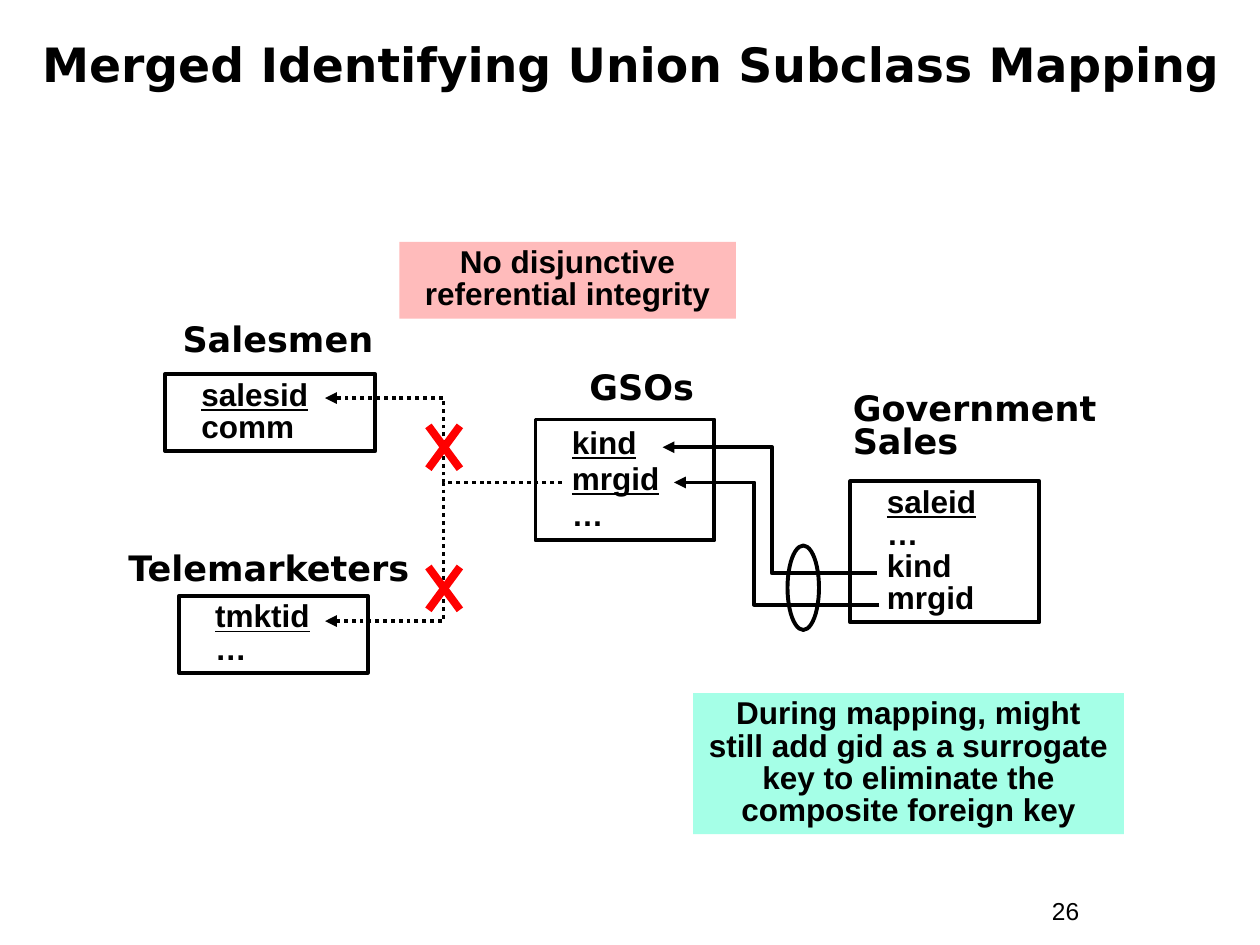
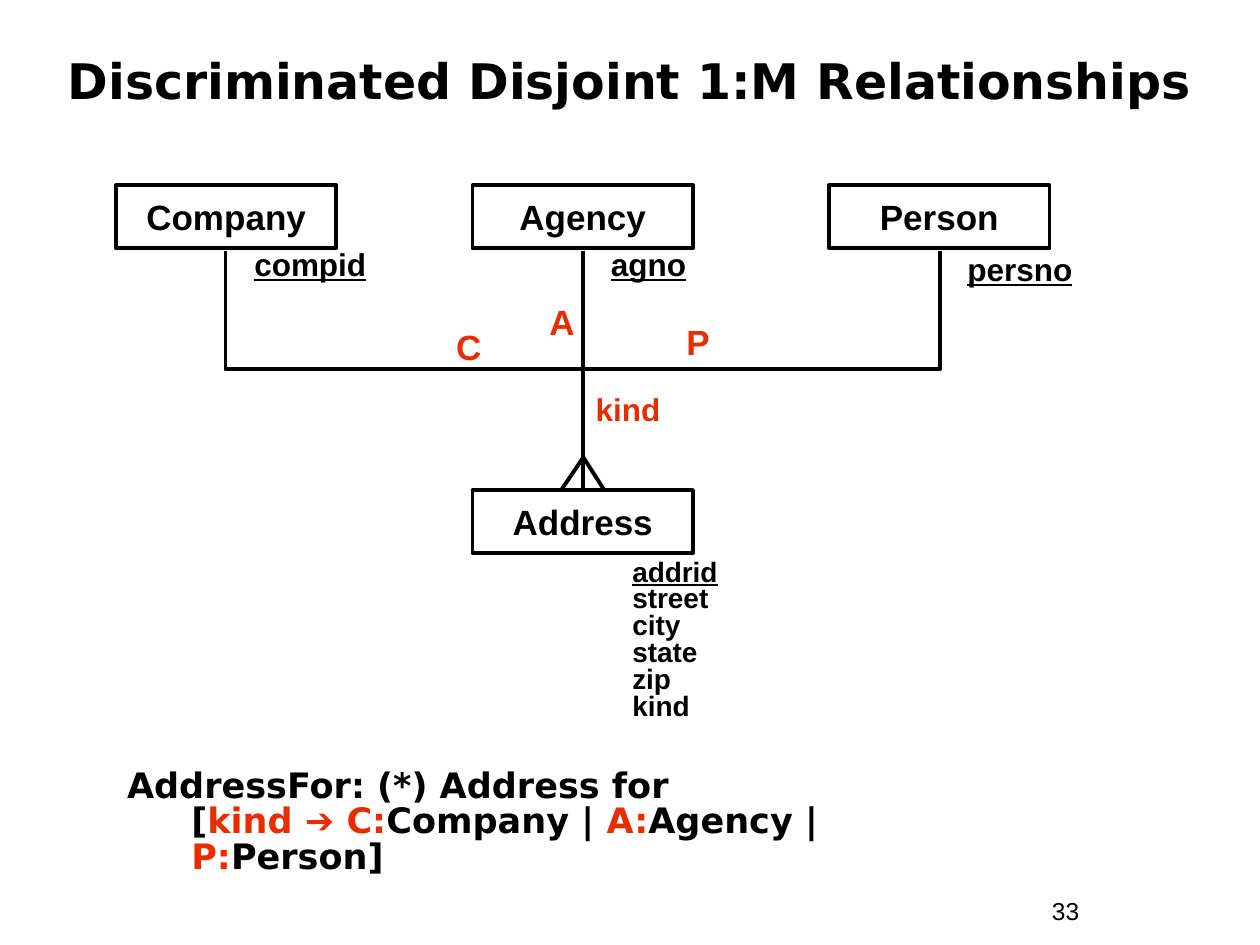
from pptx import Presentation
from pptx.dml.color import RGBColor
from pptx.enum.dml import MSO_LINE
from pptx.enum.shapes import MSO_CONNECTOR as Connector, MSO_SHAPE as Shape
from pptx.enum.text import MSO_ANCHOR as Anchor, PP_ALIGN as Align
from pptx.oxml.ns import qn
from pptx.util import Inches, Pt
from lxml import etree

BLACK, RED, ORANGE = "000000", "FF0000", "EA2D00"
PINK, MINT = "FFBBBB", "A5FFE7"
BODY, HEADING = "Arial", "DejaVu Sans"
UNDERLINED = {"underline": True}


def color(hex_string):
    return RGBColor.from_string(hex_string)


def set_attributes(target, values):
    for name, value in values.items():
        setattr(target, name, value)


class Diagram:
    """Holds the shared style and the slide being drawn."""

    line_width = 2.25
    font = {"name": BODY, "size": Pt(18), "bold": True}

    def __init__(self, presentation):
        self.presentation = presentation
        self.slide = None

    def new_slide(self, title, number, title_box, title_size):
        self.slide = self.presentation.slides.add_slide(self.presentation.slide_layouts[6])
        self.text(title_box, [title], anchor=Anchor.MIDDLE, align=Align.CENTER,
                  name=HEADING, size=Pt(title_size))
        self.text((8.25, 7.06, 0.92, 0.34), [number], space_before=8.8,
                  size=Pt(14), bold=False)

    def put_text(self, shape, paragraphs, ink=BLACK, anchor=Anchor.TOP, align=Align.LEFT,
                 spacing=1.0, space_before=0, indent=0, hanging=0, **font):
        """Fill a shape; a paragraph is a string or a list of (text, color, font) runs."""
        frame = shape.text_frame
        set_attributes(frame, {
            "word_wrap": True, "vertical_anchor": anchor,
            "margin_left": Inches(0.1), "margin_right": Inches(0.1),
            "margin_top": Inches(0.05), "margin_bottom": Inches(0.05)})
        for index, runs in enumerate(paragraphs):
            paragraph = frame.add_paragraph() if index else frame.paragraphs[0]
            set_attributes(paragraph, {"alignment": align, "line_spacing": spacing,
                                       "space_before": Pt(space_before)})
            if indent:
                properties = paragraph._p.get_or_add_pPr()
                properties.set("marL", str(Inches(indent)))
                properties.set("indent", str(-Inches(hanging)))
            for text, run_ink, extra in [(runs, ink, {})] if isinstance(runs, str) else runs:
                for line_index, line in enumerate(text.split("\n")):
                    if line_index:
                        paragraph.add_line_break()
                    run = paragraph.add_run()
                    run.text = line
                    set_attributes(run.font, {**self.font, **font, **extra})
                    run.font.color.rgb = color(run_ink)

    def text(self, box, paragraphs, **style):
        self.put_text(self.slide.shapes.add_textbox(*map(Inches, box)), paragraphs, **style)

    def heading(self, box, text, **style):
        self.text(box, [text], name=HEADING, size=Pt(20), **style)

    def shape(self, box, kind=Shape.RECTANGLE, fill=None):
        """Add a filled shape without outline, or an outlined one without fill."""
        shape = self.slide.shapes.add_shape(kind, *map(Inches, box))
        shape.shadow.inherit = False
        if fill:
            shape.fill.solid()
            shape.fill.fore_color.rgb = color(fill)
            shape.line.fill.background()
        else:
            shape.fill.background()
            shape.line.color.rgb = color(BLACK)
            shape.line.width = Pt(self.line_width)
        return shape

    def table_box(self, box, fields, spacing=0.85):
        self.put_text(self.shape(box), fields, spacing=spacing, indent=0.19)

    def note(self, box, text, fill):
        self.put_text(self.shape(box, fill=fill), [text], align=Align.CENTER,
                      spacing=0.85, space_before=11.2)

    def entity(self, left, top, name):
        self.put_text(self.shape((left, top, 1.75, 0.5)), [name], anchor=Anchor.MIDDLE,
                      align=Align.CENTER, size=Pt(20))

    def line(self, start, end, kind=Connector.STRAIGHT, ink=BLACK, width=line_width,
             dash=None, arrow=False):
        line = self.slide.shapes.add_connector(kind, *map(Inches, (*start, *end)))
        line.line.color.rgb = color(ink)
        line.line.width = Pt(width)
        if dash:
            line.line.dash_style = dash
        properties = line._element.spPr
        if arrow:
            etree.SubElement(properties.find(qn("a:ln")), qn("a:tailEnd"), type="triangle")
        etree.SubElement(properties, qn("a:effectLst"))
        return line

    def elbow(self, start, end, bend=0.5, **style):
        """Draw a horizontal-first elbow arrow that turns at the given share of its width."""
        line = self.line(start, end, Connector.ELBOW, arrow=True, **style)
        geometry = line._element.spPr.find(qn("a:prstGeom"))
        guides = geometry.find(qn("a:avLst"))
        if guides is None:
            guides = etree.SubElement(geometry, qn("a:avLst"))
        etree.SubElement(guides, qn("a:gd"), name="adj1", fmla=f"val {round(bend * 100000)}")

    def upright_elbow(self, start, end):
        """Draw a vertical-first elbow: a horizontal-first one turned by 90 degrees."""
        (x1, y1), (x2, y2) = start, end
        x, y = (x1 + x2) / 2, (y1 + y2) / 2
        half_width, half_height = (x2 - x1) / 2, (y2 - y1) / 2
        line = self.line((x - half_height, y + half_width),
                         (x + half_height, y - half_width), Connector.ELBOW)
        line._element.spPr.find(qn("a:xfrm")).set("rot", str(90 * 60000))

    def cross(self, left, top, width=0.25, height=0.34):
        right, bottom = left + width, top + height
        for start, end in (((left, top), (right, bottom)), ((right, top), (left, bottom))):
            self.line(start, end, ink=RED, width=4.5)


def key(name):
    return [(name, BLACK, UNDERLINED)]


def draw_union_mapping(diagram):
    diagram.new_slide("Merged Identifying Union Subclass Mapping", "26",
                      (0.17, 0.17, 9.67, 0.67), 27)

    diagram.table_box((1.31, 2.97, 1.67, 0.61), [key("salesid"), "comm"])
    diagram.heading((1.35, 2.47, 2.15, 0.44), "Salesmen")
    diagram.table_box((1.42, 4.73, 1.5, 0.61), [key("tmktid"), "…"])
    diagram.heading((0.92, 4.29, 2.5, 0.44), "Telemarketers")
    diagram.table_box((4.25, 3.33, 1.42, 0.96), [key("kind"), key("mrgid"), "…"], spacing=0.95)
    diagram.heading((4.58, 2.85, 1.33, 0.44), "GSOs")
    diagram.table_box((6.75, 3.82, 1.5, 1.12), [key("saleid"), "…\nkind", "mrgid"])
    diagram.heading((6.67, 3.08, 2.33, 0.64), "Government\nSales", spacing=0.8)

    for member_y in (3.16, 4.93):
        diagram.elbow((4.46, 3.83), (2.58, member_y), dash=MSO_LINE.ROUND_DOT)
    for cross_top in (4.5, 3.38):
        diagram.cross(3.4, cross_top)
    diagram.note((3.17, 1.92, 2.67, 0.61), "No disjunctive\nreferential integrity", PINK)

    diagram.elbow((6.96, 4.55), (5.26, 3.55), bend=0.49)
    diagram.elbow((6.98, 4.8), (5.35, 3.83), bend=0.61)
    diagram.shape((6.25, 4.33, 0.25, 0.67), Shape.OVAL)
    diagram.note((5.5, 5.5, 3.42, 1.12), "During mapping, might still add gid as a surrogate "
                 "key to eliminate the composite foreign key", MINT)


def draw_disjoint_relationships(diagram):
    diagram.new_slide("Discriminated Disjoint 1:M Relationships", "33",
                      (0.33, 0.17, 9.33, 0.92), 28)

    owners = (("Company", "compid", 1.93), ("Agency", "agno", 1.93), ("Person", "persno", 1.97))
    for column, (owner, owner_key, key_top) in enumerate(owners):
        left = 0.92 + 2.83 * column
        diagram.entity(left, 1.47, owner)
        diagram.text((left + 1, key_top, 1.67, 0.37), [key(owner_key)], spacing=0.9)
    diagram.entity(3.75, 3.89, "Address")

    center, junction = 4.63, (4.63, 3.87)
    for foot_x in (4.46, 4.79):
        diagram.line((center, 3.63), (foot_x, 3.88))
    diagram.line((center, 1.99), junction)
    for owner_x in (1.79, 7.46):
        diagram.upright_elbow(junction, (owner_x, 1.99))

    diagram.text((4.63, 3.08, 1.17, 0.37), ["kind"], ink=ORANGE, spacing=0.9)
    for letter, left, top in (("P", 5.25, 2.56), ("C", 3.43, 2.6), ("A", 4.17, 2.4)):
        diagram.text((left, top, 0.58, 0.37), [letter], ink=ORANGE, align=Align.CENTER,
                     spacing=0.8, space_before=12.5, size=Pt(20))
    diagram.text((4.92, 4.4, 1.17, 1.38),
                 [key("addrid"), "street", "city", "state", "zip", "kind"],
                 spacing=0.8, size=Pt(16))

    rule = [("AddressFor: (*) Address for\n[", BLACK, {}), ("kind ", ORANGE, {}),
            ("➔", ORANGE, {"name": BODY}), (" C:", ORANGE, {}), ("Company | ", BLACK, {}),
            ("A:", ORANGE, {}), ("Agency | ", BLACK, {}), ("P:", ORANGE, {}),
            ("Person]", BLACK, {})]
    diagram.heading((0.91, 6.06, 6.59, 0.67), rule, spacing=0.85, space_before=2.5,
                    indent=0.51, hanging=0.51)


def main():
    presentation = Presentation()
    presentation.slide_width, presentation.slide_height = Inches(10), Inches(7.5)
    diagram = Diagram(presentation)
    draw_union_mapping(diagram)
    draw_disjoint_relationships(diagram)
    presentation.save("out.pptx")


if __name__ == "__main__":
    main()
